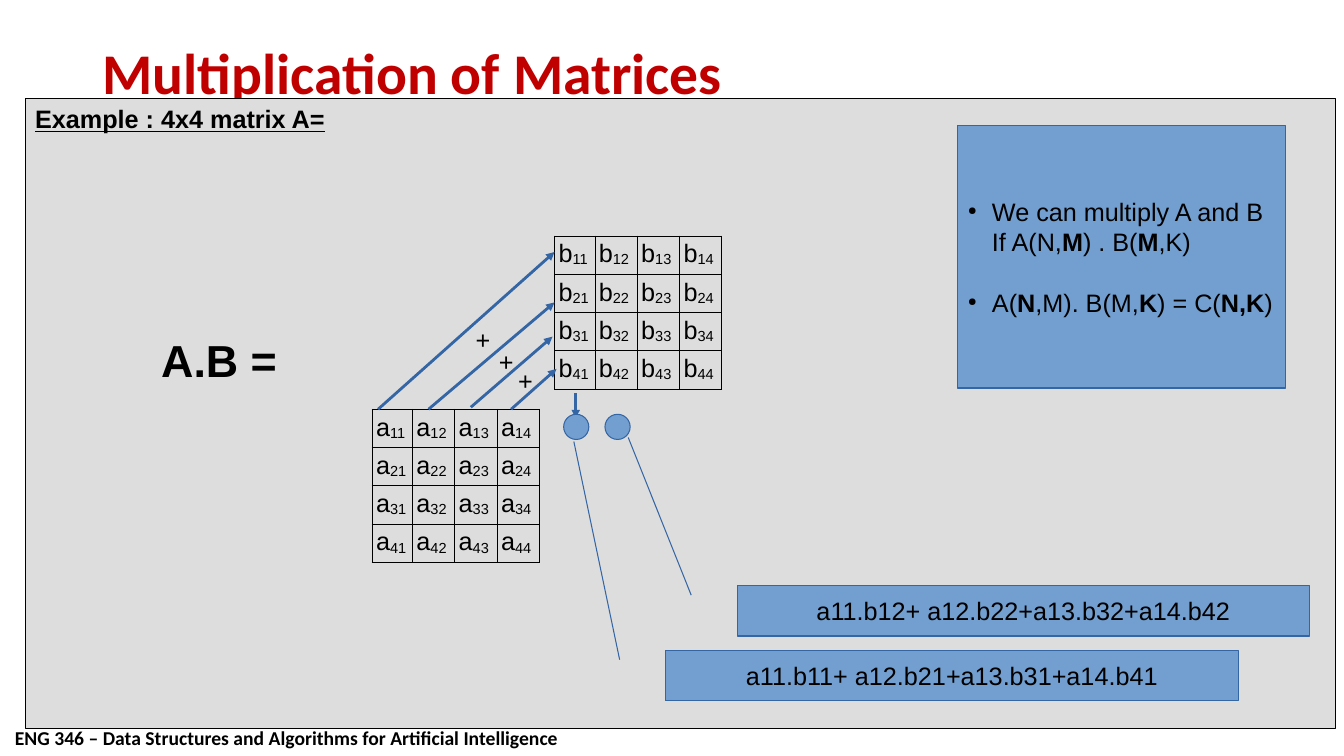
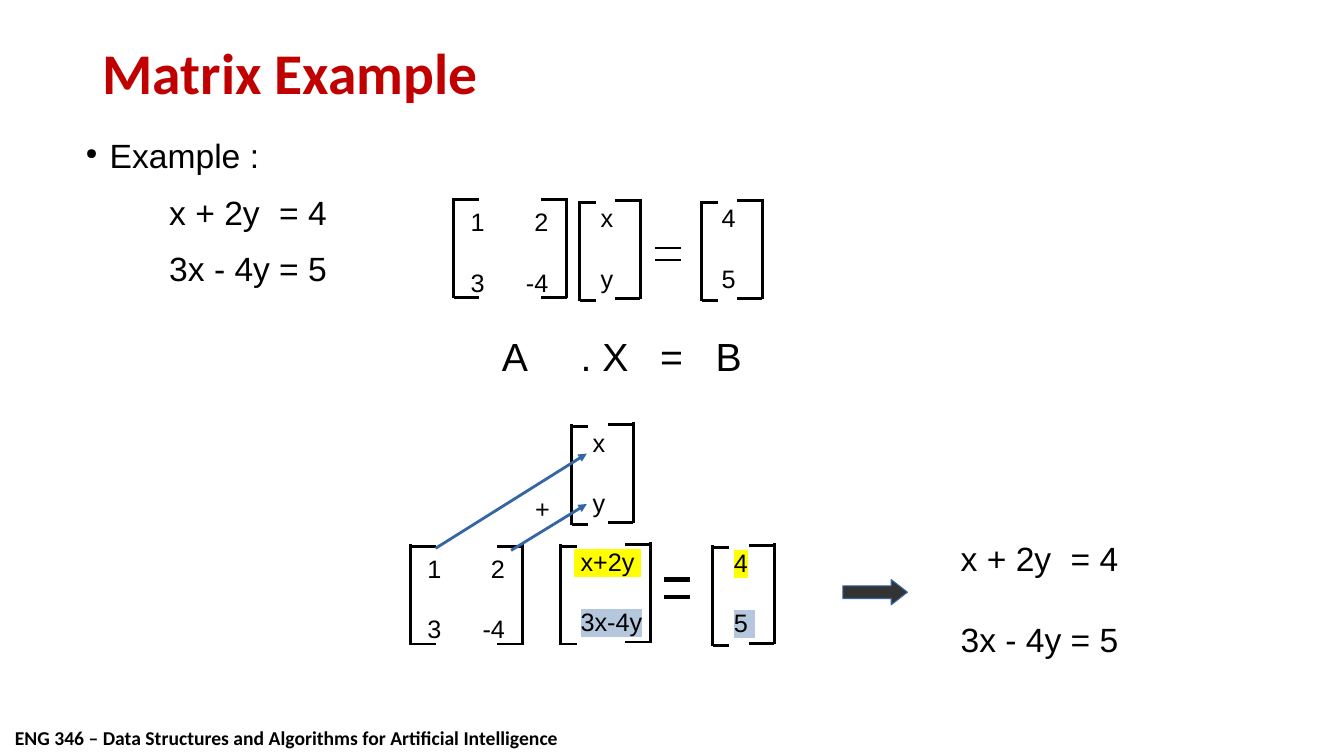
"""Build two lecture slides on matrix multiplication."""
from dataclasses import dataclass, field
from typing import Any, NamedTuple

from lxml import etree
from pptx import Presentation
from pptx.dml.color import RGBColor
from pptx.enum.shapes import MSO_CONNECTOR, MSO_SHAPE
from pptx.enum.text import MSO_ANCHOR, PP_ALIGN
from pptx.oxml.ns import qn
from pptx.util import Inches, Pt

RECT = MSO_SHAPE.RECTANGLE
OVAL = MSO_SHAPE.OVAL
CALLOUT = MSO_SHAPE.LINE_CALLOUT_1
RIGHT_ARROW = MSO_SHAPE.RIGHT_ARROW
STRAIGHT = MSO_CONNECTOR.STRAIGHT
TOP, MIDDLE = MSO_ANCHOR.TOP, MSO_ANCHOR.MIDDLE
CENTER = PP_ALIGN.CENTER

BLACK, RED, PANEL, DARK = "000000", "C00000", "DDDDDD", "333333"
BLUE, BLUE_LINE = "729FCF", "3465A4"
YELLOW, PALE_BLUE = "FFFF00", "B4C7DC"

BODY = {"name": "Arial", "size": Pt(18), "bold": False}
BOLD = {"bold": True}
LARGE = {"size": Pt(24)}
TITLE = {"name": "Calibri", "size": Pt(41.1), "bold": True}
FOOTER = {"name": "Calibri", "size": Pt(14), "bold": True}
FOOTER_TEXT = "ENG 346 – Data Structures and Algorithms for Artificial Intelligence"

Box = tuple[float, float, float, float]
Point = tuple[float, float]


class Run(NamedTuple):
    text: str
    fmt: dict[str, Any] = {}
    color: str = BLACK
    highlight: str = ""
    baseline: int = 0


@dataclass
class Para:
    runs: list[Run]
    before: float = 0
    bullet: bool = False
    tabs: list[tuple[float, str]] = field(default_factory=list)
    fmt: dict[str, Any] = field(default_factory=dict)


@dataclass
class Matrix:
    left: float
    top: float
    right: float
    text_at: Point
    rows: list[list[Run]]
    lip: float = 0.16
    drop: float = 0.02


class Callout(NamedTuple):
    left: float
    top: float
    text: str
    adj: tuple[float, float, float, float]


def rgb(color: str) -> RGBColor:
    return RGBColor.from_string(color)


def sub(parent, tag: str, **attrs: str):
    return etree.SubElement(parent, qn(tag), attrs)


def add_run(p, run: Run, base: dict[str, Any]) -> None:
    r = p.add_run()
    r.text = run.text
    for name, value in {**BODY, **base, **run.fmt}.items():
        setattr(r.font, name, value)
    r.font.color.rgb = rgb(run.color)
    rPr = r._r.get_or_add_rPr()
    if run.highlight:
        mark = etree.Element(qn("a:highlight"))
        sub(mark, "a:srgbClr", val=run.highlight)
        rPr.find(qn("a:solidFill")).addnext(mark)
    if run.baseline:
        rPr.set("baseline", str(run.baseline))


def write(tf, paras: list[Para], anchor=TOP, align=None) -> None:
    tf.word_wrap = True
    tf.vertical_anchor = anchor
    for i, para in enumerate(paras):
        p = tf.add_paragraph() if i else tf.paragraphs[0]
        pPr = p._p.get_or_add_pPr()
        if para.bullet:
            pPr.set("marL", str(Inches(0.24)))
            pPr.set("indent", str(-Inches(0.24)))
            sub(sub(pPr, "a:buClr"), "a:srgbClr", val=BLACK)
            sub(pPr, "a:buSzPct", val="45000")
            sub(pPr, "a:buChar", char="●")
        if para.tabs:
            tab_list = sub(pPr, "a:tabLst")
            for pos, kind in para.tabs:
                sub(tab_list, "a:tab", pos=str(Inches(pos)), algn=kind)
        if para.before:
            p.space_before = Pt(para.before)
        if align is not None:
            p.alignment = align
        for run in para.runs:
            add_run(p, run, para.fmt)


def add_text(s, box: Box, paras: list[Para], anchor=TOP):
    tf = s.shapes.add_textbox(*map(Inches, box)).text_frame
    write(tf, paras, anchor)
    return tf


def add_box(s, kind, box: Box, fill: str, line: str = BLUE_LINE, adj=()):
    sp = s.shapes.add_shape(kind, *map(Inches, box))
    sp.shadow.inherit = False
    sp.fill.solid()
    sp.fill.fore_color.rgb = rgb(fill)
    sp.line.color.rgb = rgb(line)
    sp.line.width = Pt(0)
    for i, value in enumerate(adj):
        sp.adjustments[i] = value
    return sp


def add_line(s, start: Point, end: Point, color: str = BLACK,
             width: float = 0, arrow: bool = False) -> None:
    line = s.shapes.add_connector(STRAIGHT, *map(Inches, (*start, *end)))
    line.line.color.rgb = rgb(color)
    line.line.width = Pt(width)
    if arrow:
        sub(line.line._get_or_add_ln(), "a:tailEnd", type="triangle")
    sub(line._element.spPr, "a:effectLst")


def add_arrow(s, start: Point, end: Point) -> None:
    add_line(s, start, end, BLUE_LINE, arrow=True)


def add_plus(s, left: float, top: float) -> None:
    add_text(s, (left, top, 0.5, 0.38), [Para([Run("+")])])


def add_equals(s, left: float, tops: Point, width: float) -> None:
    for y in tops:
        add_line(s, (left, y), (left + 0.25, y), width=width)


def add_half_bracket(s, x: float, top: float, lip: float) -> None:
    add_line(s, (x, top), (x, top + 1))
    for y in (top + 0.02, top + 0.99):
        add_line(s, (x, y), (x + lip, y))


def add_matrix(s, m: Matrix) -> None:
    paras = [Para(row, before=21.6 * i, tabs=[(0.77, "r")]) for i, row in enumerate(m.rows)]
    add_text(s, (*m.text_at, 1.25, 1), paras)
    add_half_bracket(s, m.left, m.top, m.lip)
    add_half_bracket(s, m.right, m.top - m.drop, -0.25)


def add_equations(s, left: float, top: float, gap: float) -> None:
    lines = ("x + 2y\t= 4", "3x - 4y\t= 5")
    add_text(s, (left, top, 2.41, 1.21),
             [Para([Run(text)], gap * i, tabs=[(1.09, "l")], fmt=LARGE)
              for i, text in enumerate(lines)])


def add_grid(s, left: float, top: float, letter: str) -> None:
    size = 4
    shape = s.shapes.add_table(size, size, *map(Inches, (left, top, 1.66, 1.52)))
    table = shape.table
    table.first_row = table.horz_banding = False
    for i in range(size):
        table.rows[i].height = Inches(0.38)
        table.columns[i].width = Inches(0.42 if i else 0.4)
        for j in range(size):
            cell = table.cell(i, j)
            cell.margin_left = cell.margin_right = Inches(0.04)
            cell.margin_top = cell.margin_bottom = Inches(0.04)
            tcPr = cell._tc.get_or_add_tcPr()
            for side in "LRTB":
                border = sub(tcPr, f"a:ln{side}", w=str(Pt(0.57)))
                sub(sub(border, "a:solidFill"), "a:srgbClr", val=BLACK)
            cell.fill.background()
            p = cell.text_frame.paragraphs[0]
            add_run(p, Run(letter), {})
            add_run(p, Run(f"{i + 1}{j + 1}", baseline=-8000), {})


def new_slide(prs, title: str):
    s = prs.slides.add_slide(prs.slide_layouts[6])
    tf = add_text(s, (0.05, 7.15, 5.63, 0.33), [Para([Run(FOOTER_TEXT, FOOTER)])])
    tf.word_wrap = False
    tf = add_text(s, (0.92, 0.4, 10.08, 0.7), [Para([Run(title, TITLE, RED)])], MIDDLE)
    tf.paragraphs[0].line_spacing = 0.9
    return s


def multiplication_slide(prs) -> None:
    s = new_slide(prs, "Multiplication of Matrices")
    panel = add_box(s, RECT, (0.25, 0.98, 13, 6.25), PANEL, BLACK)
    heading = Run("Example : 4x4 matrix A=", {"bold": True, "underline": True})
    write(panel.text_frame, [Para([heading])], align=PP_ALIGN.LEFT)
    add_grid(s, 3.69, 4.06, "a")
    add_grid(s, 5.5, 2.34, "b")
    for start, end in (((3.75, 4.06), (5.5, 2.5)), ((4.25, 4.06), (5.5, 3)),
                       ((4.67, 4.04), (5.48, 3.34)), ((5.07, 4.06), (5.52, 3.66)),
                       ((5.71, 3.9), (5.71, 4.15))):
        add_arrow(s, start, end)
    for left, top in ((5.04, 3.57), (4.85, 3.39), (4.62, 3.17)):
        add_plus(s, left, top)
    for left in (5.59, 6):
        add_box(s, OVAL, (left, 4.11, 0.25, 0.25), BLUE)
    for c in (Callout(6.6, 6.45, "a11.b11+ a12.b21+a13.b31+a14.b41",
                      (0.19, -0.08, -4.14, -0.16)),
              Callout(7.31, 5.81, "a11.b12+ a12.b22+a13.b32+a14.b42",
                      (0.19, -0.08, -2.94, -0.19))):
        sp = add_box(s, CALLOUT, (c.left, c.top, 5.68, 0.5), BLUE, adj=c.adj)
        write(sp.text_frame, [Para([Run(c.text)])], MIDDLE, CENTER)
    product = Run("A.B =", {"size": Pt(32), "bold": True})
    add_text(s, (1.5, 3.25, 2.75, 1.5), [Para([product])])
    rules = add_box(s, RECT, (9.5, 1.25, 3.25, 2.6), BLUE)
    write(rules.text_frame, [
        Para([Run("We can multiply A and B If A(N,"), Run("M", BOLD), Run(") . B("),
              Run("M", BOLD), Run(",K)")], bullet=True),
        Para([Run("A("), Run("N", BOLD), Run(",M). B(M,"), Run("K", BOLD),
              Run(") = C("), Run("N,K", BOLD), Run(")")], before=21.6, bullet=True),
    ], MIDDLE, PP_ALIGN.LEFT)


def example_slide(prs) -> None:
    s = new_slide(prs, "Matrix Example")
    add_text(s, (0.75, 1.29, 4, 0.5), [Para([Run("Example :")], bullet=True, fmt=LARGE)])
    add_equations(s, 1.58, 1.85, 11.4)
    coefficients = [[Run("1\t2")], [Run("3\t-4")]]
    unknowns = [[Run("x")], [Run("y")]]
    constants = [[Run("4")], [Run("5")]]
    sums = [[Run(" x+2y ", highlight=YELLOW)],
            [Run(" "), Run("3x-4y", highlight=PALE_BLUE)]]
    results = [[Run("4", highlight=YELLOW)], [Run("5 ", highlight=PALE_BLUE)]]
    for m in (Matrix(4.5, 1.96, 5.62, (4.57, 2), coefficients, 0.25, 0),
              Matrix(5.75, 1.99, 6.35, (5.86, 1.96), unknowns),
              Matrix(6.96, 1.99, 7.56, (7.06, 1.96), constants),
              Matrix(4.07, 5.4, 5.18, (4.14, 5.44), coefficients, 0.25, 0),
              Matrix(5.67, 4.21, 6.28, (5.78, 4.19), unknowns),
              Matrix(5.56, 5.4, 6.45, (5.59, 5.37), sums),
              Matrix(7.07, 5.41, 7.68, (7.18, 5.38), results)):
        add_matrix(s, m)
    add_equals(s, 6.5, (2.46, 2.58), 0)
    add_equals(s, 6.59, (5.75, 5.92), 3)
    add_text(s, (4.88, 3.25, 3.2, 0.75),
             [Para([Run("A\t. X\t=\tB")], fmt={"size": Pt(28)},
                   tabs=[(0.78, "l"), (1.57, "l"), (2.12, "l")])])
    add_arrow(s, (4.32, 5.44), (5.82, 4.5))
    add_arrow(s, (5.07, 5.46), (5.82, 5))
    add_plus(s, 5.21, 4.84)
    add_box(s, RIGHT_ARROW, (8.36, 5.75, 0.64, 0.25), DARK, adj=(0.5, 0.64))
    add_equations(s, 9.43, 5.29, 28.8)


def main() -> None:
    prs = Presentation()
    prs.slide_width, prs.slide_height = Inches(13.33), Inches(7.5)
    multiplication_slide(prs)
    example_slide(prs)
    prs.save("out.pptx")


if __name__ == "__main__":
    main()
